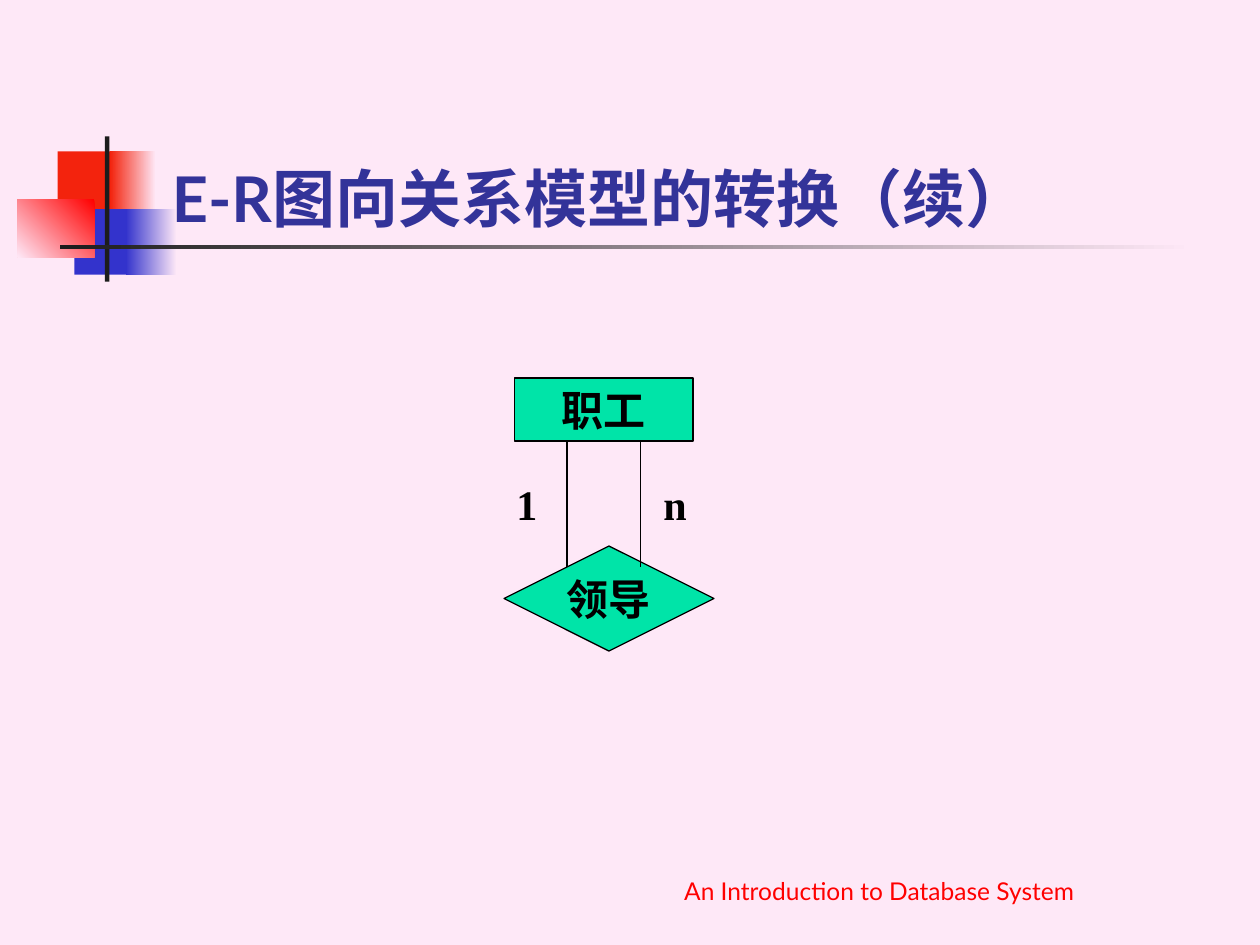
from dataclasses import dataclass

from lxml import etree
from pptx import Presentation
from pptx.dml.color import RGBColor
from pptx.enum.shapes import MSO_CONNECTOR, MSO_SHAPE
from pptx.enum.text import MSO_ANCHOR, MSO_AUTO_SIZE, PP_ALIGN
from pptx.oxml.ns import qn
from pptx.util import Pt

RECT, DIAMOND = MSO_SHAPE.RECTANGLE, MSO_SHAPE.DIAMOND
STRAIGHT = MSO_CONNECTOR.STRAIGHT
LEFT, CENTER = PP_ALIGN.LEFT, PP_ALIGN.CENTER
TOP, MIDDLE, BOTTOM = MSO_ANCHOR.TOP, MSO_ANCHOR.MIDDLE, MSO_ANCHOR.BOTTOM
NO_FIT = MSO_AUTO_SIZE.NONE


@dataclass(frozen=True)
class Theme:
    background: str = "FEE8F7"
    red: str = "F3230D"
    bright_red: str = "FF0000"
    blue: str = "3333CC"
    dark: str = "1C1C1C"
    title: str = "333399"
    node: str = "00E4A8"
    ink: str = "000000"
    sans: str = "Lato"
    serif: str = "Times New Roman"
    title_size: int = 36
    node_size: int = 24
    footer_size: int = 14
    line_width: float = 0.75


def rgb(value):
    return RGBColor.from_string(value)


class SlideBuilder:
    def __init__(self, slide, theme):
        self.s = slide
        self.theme = theme
        slide.background.fill.solid()
        slide.background.fill.fore_color.rgb = rgb(theme.background)

    def set_text(self, sp, text, font, size, color, bold=True, align=LEFT,
                 anchor=TOP, wrap=True):
        tf = sp.text_frame
        tf.auto_size = NO_FIT
        tf.word_wrap = wrap
        tf.vertical_anchor = anchor
        p = tf.paragraphs[0]
        p.alignment = align
        r = p.add_run()
        r.text = text
        r.font.name = font
        r.font.size = Pt(size)
        r.font.bold = bold
        r.font.color.rgb = rgb(color)

    def title(self, text, x, y, w, h):
        sp = self.s.shapes.title
        sp.left, sp.top, sp.width, sp.height = Pt(x), Pt(y), Pt(w), Pt(h)
        # Bring the title in front of the ornament
        sp.element.getparent().append(sp.element)
        t = self.theme
        self.set_text(sp, text, t.sans, t.title_size, t.title, anchor=BOTTOM)

    def shape(self, kind, x, y, w, h):
        sp = self.s.shapes.add_shape(kind, Pt(x), Pt(y), Pt(w), Pt(h))
        sp.shadow.inherit = False
        return sp

    def block(self, x, y, w, h, color, end_color=None, angle=180):
        """Borderless block; angle runs counter-clockwise."""
        sp = self.shape(RECT, x, y, w, h)
        sp.line.fill.background()
        if end_color is None:
            sp.fill.solid()
            sp.fill.fore_color.rgb = rgb(color)
            return
        sp.fill.gradient()
        sp.fill.gradient_angle = angle
        for stop, value in zip(sp.fill.gradient_stops, (color, end_color)):
            stop.color.rgb = rgb(value)

    def node(self, kind, text, x, y, w, h, **layout):
        t = self.theme
        sp = self.shape(kind, x, y, w, h)
        sp.fill.solid()
        sp.fill.fore_color.rgb = rgb(t.node)
        sp.line.color.rgb = rgb(t.ink)
        sp.line.width = Pt(t.line_width)
        self.set_text(sp, text, t.serif, t.node_size, t.ink, align=CENTER,
                      **layout)

    def line(self, x1, y1, x2, y2):
        cn = self.s.shapes.add_connector(STRAIGHT, Pt(x1), Pt(y1), Pt(x2), Pt(y2))
        cn.line.color.rgb = rgb(self.theme.ink)
        cn.line.width = Pt(self.theme.line_width)
        etree.SubElement(cn.element.spPr, qn("a:effectLst"))

    def text(self, text, x, y, w, h, *style, **layout):
        sp = self.s.shapes.add_textbox(Pt(x), Pt(y), Pt(w), Pt(h))
        self.set_text(sp, text, *style, **layout)


def main():
    t = Theme()
    prs = Presentation()
    prs.slide_width, prs.slide_height = Pt(720), Pt(540)
    b = SlideBuilder(prs.slides.add_slide(prs.slide_layouts[5]), t)

    # Corner ornament and title rule
    b.block(33, 86.5, 34.5, 37.5, t.red)
    b.block(63, 86.5, 26, 37.5, t.background, t.red)
    b.block(42.5, 119.5, 33, 37.5, t.blue)
    b.block(72, 119.5, 29, 37.5, t.background, t.blue)
    b.block(10, 114, 44, 33, t.bright_red, t.background, angle=225)
    b.block(60, 78, 2.5, 83, t.dark)
    b.block(34.5, 140, 648, 2.5, t.background, t.dark)

    # Title
    b.title("E-R图向关系模型的转换（续）", 91, 48, 613, 90)

    # Entity and its relationship to itself
    b.node(RECT, "职工", 294, 216, 102, 36)
    b.node(DIAMOND, "领导", 288, 312, 120, 60, anchor=MIDDLE, wrap=False)
    for role, line_x, label_x in (("1", 324, 288), ("n", 366, 372)):
        b.line(line_x, 252, line_x, 324)
        b.text(role, label_x, 270, 30, 36, t.serif, t.node_size, t.ink)

    # Footer
    b.text("An Introduction to Database System", 314.5, 485, 376, 36,
           t.sans, t.footer_size, t.bright_red,
           bold=False, align=CENTER, anchor=BOTTOM)

    prs.save("out.pptx")


if __name__ == "__main__":
    main()
